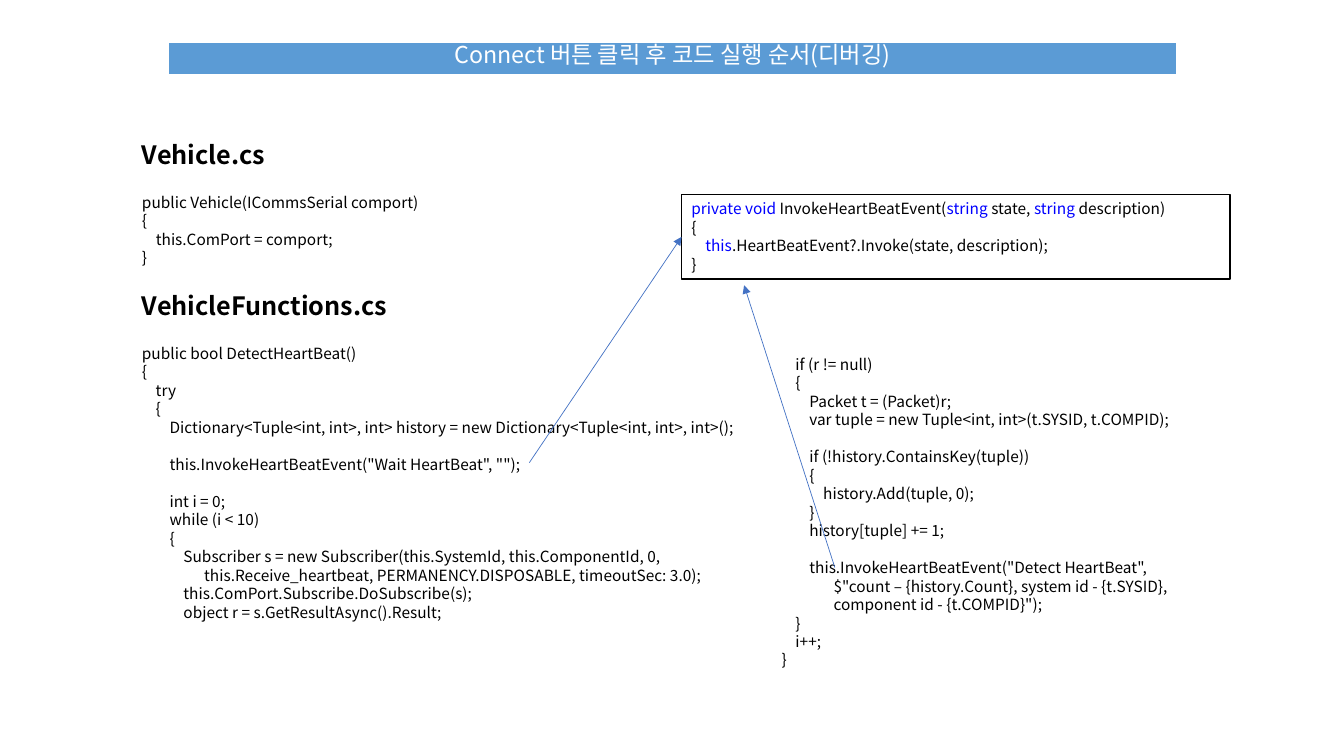
"""Build a slide that traces the code run after the Connect button is clicked."""
from dataclasses import dataclass
from typing import Optional

from lxml.etree import SubElement
from pptx import Presentation
from pptx.dml.color import RGBColor
from pptx.enum.shapes import MSO_CONNECTOR, MSO_SHAPE
from pptx.enum.text import MSO_ANCHOR, PP_ALIGN
from pptx.oxml.ns import qn
from pptx.shapes.autoshape import Shape
from pptx.slide import Slide
from pptx.util import Inches, Pt

FONT = "Noto Sans CJK KR"
BLACK = RGBColor(0x00, 0x00, 0x00)
WHITE = RGBColor(0xFF, 0xFF, 0xFF)
BLUE = RGBColor(0x5B, 0x9B, 0xD5)
KEY = RGBColor(0x00, 0x00, 0xFF)
LINE = RGBColor(0x44, 0x72, 0xC4)
ROW = 13.2
HEAD_GAP = 16.8

MAKER = """public Vehicle(ICommsSerial comport)
{
    this.ComPort = comport;
}"""

DETECT = """public bool DetectHeartBeat()
{
    try
    {
        Dictionary<Tuple<int, int>, int> history = new Dictionary<Tuple<int, int>, int>();

        this.InvokeHeartBeatEvent("Wait HeartBeat", "");

        int i = 0;
        while (i < 10)
        {
            Subscriber s = new Subscriber(this.SystemId, this.ComponentId, 0,
                  this.Receive_heartbeat, PERMANENCY.DISPOSABLE, timeoutSec: 3.0);
            this.ComPort.Subscribe.DoSubscribe(s);
            object r = s.GetResultAsync().Result;"""

COUNT = """            if (r != null)
            {
                Packet t = (Packet)r;
                var tuple = new Tuple<int, int>(t.SYSID, t.COMPID);

                if (!history.ContainsKey(tuple))
                {
                    history.Add(tuple, 0);
                }
                history[tuple] += 1;

                this.InvokeHeartBeatEvent("Detect HeartBeat",
                       $"count – {history.Count}, system id - {t.SYSID},
                       component id - {t.COMPID}");
            }
            i++;
        }"""

INVOKE = """|private| |void| InvokeHeartBeatEvent(|string| state, |string| description)
{
    |this|.HeartBeatEvent?.Invoke(state, description);
}"""


@dataclass(frozen=True)
class Block:
    """Code with an optional heading; words between bars are keywords."""
    left: float
    top: float
    width: float
    height: float
    code: str
    head: str = ""


@dataclass(frozen=True)
class Arrow:
    """A thin arrow, joined to the left side of a box if one is given."""
    start: tuple[float, float]
    end: tuple[float, float]
    box: Optional[Shape] = None


BLOCKS = (
    Block(1.31, 2.83, 6.43, 3.79, DETECT, "VehicleFunctions.cs"),
    Block(7.38, 3.47, 5.52, 3.43, COUNT),
    Block(1.31, 1.33, 5.45, 1.38, MAKER, "Vehicle.cs"),
)
EVENT = Block(6.76, 1.93, 5.44, 0.84, INVOKE)


def style(para, size: float, row: float, color: RGBColor, bold: bool = False) -> None:
    """Set the font and line height of a paragraph."""
    para.line_spacing = Pt(row)
    font = para.font
    font.size, font.bold, font.name = Pt(size), bold, FONT
    font.color.rgb = color
    props = para._p.pPr.find(qn("a:defRPr"))
    SubElement(props, qn("a:ea")).set("typeface", FONT)


def write(shape: Shape, block: Block) -> None:
    """Fill a shape with a heading and code, turning empty lines into space."""
    frame = shape.text_frame
    frame.word_wrap = True
    frame.vertical_anchor = MSO_ANCHOR.TOP
    para, gap = frame.paragraphs[0], 0.0
    if block.head:
        para.text = block.head
        style(para, 18, 21.6, BLACK, bold=True)
        para, gap = None, HEAD_GAP
    for text in block.code.splitlines():
        if not text:
            gap += ROW
            continue
        para = para or frame.add_paragraph()
        para.alignment = PP_ALIGN.LEFT
        if gap:
            para.space_before = Pt(gap)
        style(para, 11, ROW, BLACK)
        for rank, part in enumerate(text.split("|")):
            if part:
                run = para.add_run()
                run.text = part
                if rank % 2:
                    run.font.color.rgb = KEY
        para, gap = None, 0.0


def add_box(slide: Slide, place: tuple[float, ...], fill: RGBColor,
            edge: RGBColor, weight: float) -> Shape:
    """Add a filled rectangle with an outline."""
    box = slide.shapes.add_shape(MSO_SHAPE.RECTANGLE, *map(Inches, place))
    box.shadow.inherit = False
    box.fill.solid()
    box.fill.fore_color.rgb = fill
    box.line.color.rgb = edge
    box.line.width = Pt(weight)
    return box


def add_title(slide: Slide) -> None:
    """Add the title bar."""
    bar = add_box(slide, (1.67, 0.42, 10, 0.32), BLUE, WHITE, 1.5)
    bar.text_frame.word_wrap = True
    bar.text_frame.vertical_anchor = MSO_ANCHOR.MIDDLE
    para = bar.text_frame.paragraphs[0]
    para.text = "Connect 버튼 클릭 후 코드 실행 순서(디버깅)"
    para.alignment = PP_ALIGN.CENTER
    style(para, 16.6, 14, WHITE)


def add_arrow(slide: Slide, arrow: Arrow) -> None:
    """Draw an arrow with a triangle at its end."""
    link = slide.shapes.add_connector(
        MSO_CONNECTOR.STRAIGHT, *map(Inches, arrow.start + arrow.end))
    if arrow.box:
        link.end_connect(arrow.box, 1)
    link.line.color.rgb = LINE
    link.line.width = Pt(0.5)
    SubElement(link.line._get_or_add_ln(), qn("a:tailEnd")).set("type", "triangle")
    SubElement(link._element.spPr, qn("a:effectLst"))


def main() -> None:
    """Build and save the slide."""
    deck = Presentation()
    deck.slide_width, deck.slide_height = Inches(13.33), Inches(7.5)
    slide = deck.slides.add_slide(deck.slide_layouts[6])
    add_title(slide)
    for block in BLOCKS:
        place = (block.left, block.top, block.width, block.height)
        write(slide.shapes.add_textbox(*map(Inches, place)), block)
    place = (EVENT.left, EVENT.top, EVENT.width, EVENT.height)
    event = add_box(slide, place, WHITE, BLACK, 1)
    write(event, EVENT)
    for arrow in (Arrow((5.25, 4.59), (6.76, 2.35), event),
                  Arrow((8.28, 5.63), (7.38, 2.83))):
        add_arrow(slide, arrow)
    deck.save("out.pptx")


if __name__ == "__main__":
    main()
